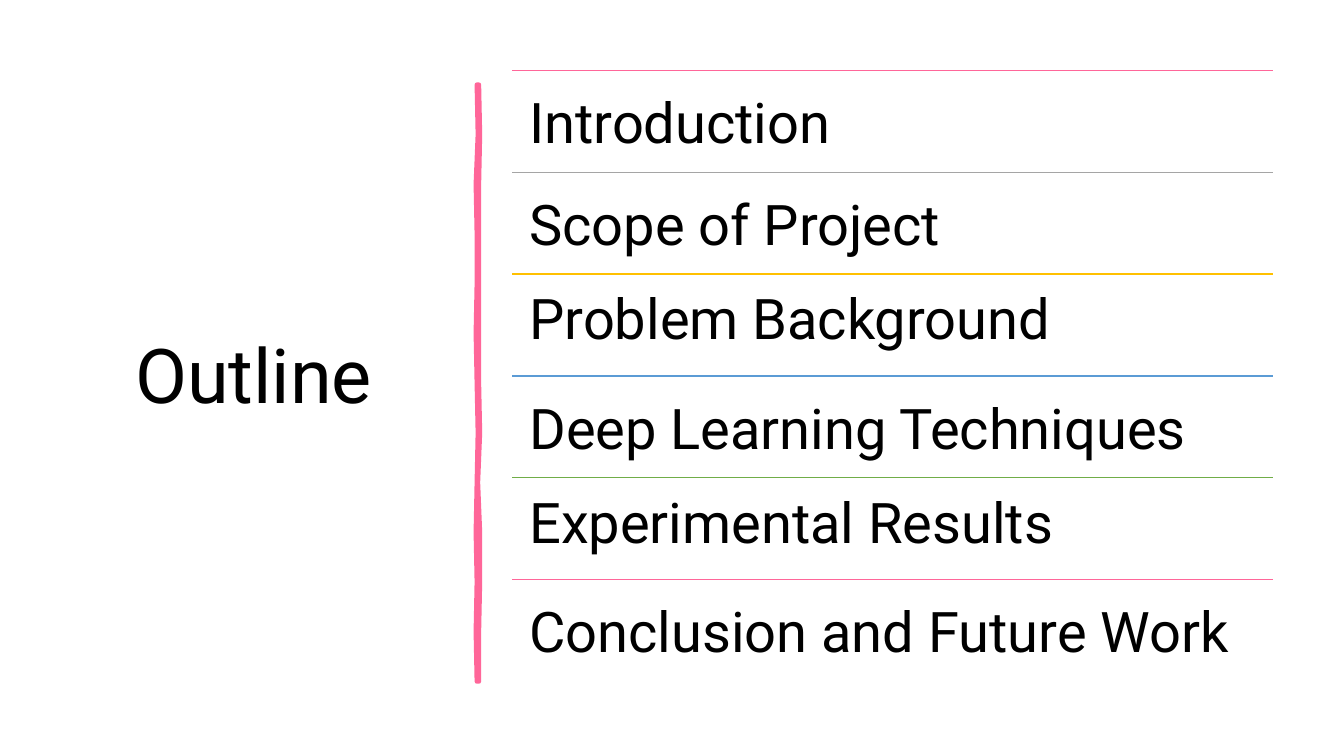
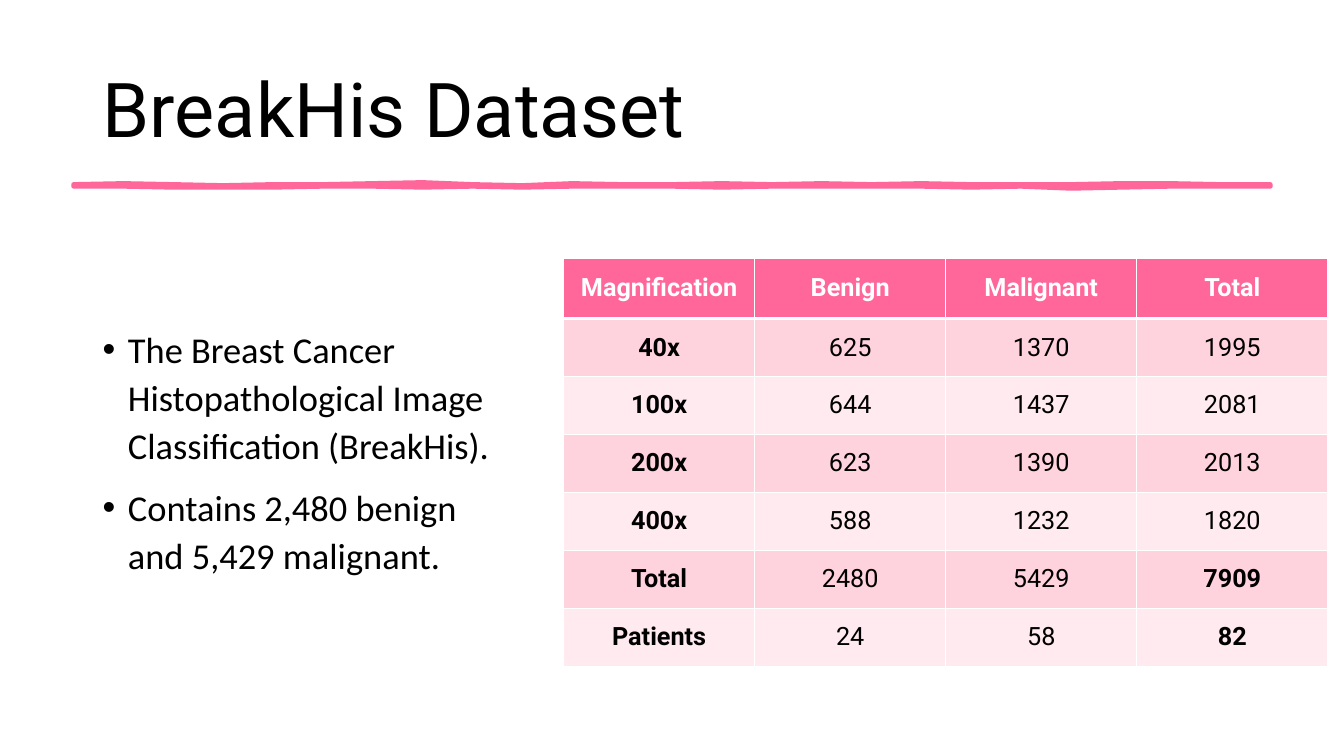
import pptx
import pptx.dml.color
import pptx.enum.shapes
import pptx.enum.text
import pptx.oxml
import pptx.oxml.ns
import pptx.util
from pptx.util import Inches

PINK = "FF6699"
BLACK = "000000"
WHITE = "FFFFFF"
HEADING_FONT = "Roboto"
BODY_FONT = "Calibri"
NAMESPACE = pptx.oxml.ns.nsdecls("a")


def color(hex_value):
    return pptx.dml.color.RGBColor.from_string(hex_value)


def add_run(paragraph, text, size, font=HEADING_FONT, fill=BLACK, bold=False):
    run = paragraph.add_run()
    run.text = text
    run.font.name = font
    run.font.size = pptx.util.Pt(size)
    run.font.bold = bold
    run.font.color.rgb = color(fill)


presentation = pptx.Presentation()
presentation.slide_width = Inches(13.33)
presentation.slide_height = Inches(7.5)

pages = [
    {
        "title": "Outline",
        "box": (1.24, 0.7, 3.19, 6.11),
        "vertical": True,
        "span": (0.84, 6.76),
        "edges": (4.73, 4.75),
        "waves": (
            [0, 0.01, -0.01, 0, 0, -0.01, 0, 0.01, 0, -0.01, 0, -0.01, 0],
            [0, 0.01, 0, 0, 0, 0, 0, 0.01, -0.01, 0.01, 0.01, 0, 0],
        ),
    },
    {
        "title": "BreakHis Dataset",
        "box": (0.92, 0.4, 11.5, 1.45),
        "vertical": False,
        "span": (0.73, 12.6),
        "edges": (1.83, 1.85),
        "waves": (
            [0, -0.01, 0, 0.01, 0, 0, -0.01, -0.02, 0, 0.01, -0.01, 0, 0,
             -0.01, 0, -0.01, 0, -0.01, 0, 0, 0, -0.01, -0.01, 0, 0],
            [0, 0, 0.01, 0.01, 0.01, 0, 0, 0.01, 0, 0.01, 0, 0, 0,
             0.01, 0, 0, 0, 0, 0.01, 0, 0.02, 0.01, 0, 0, 0],
        ),
    },
]

slides = []
for page in pages:
    slide = presentation.slides.add_slide(presentation.slide_layouts[5])
    slides.append(slide)

    title = slide.shapes.title
    title.left, title.top, title.width, title.height = map(Inches, page["box"])
    title.text_frame.auto_size = pptx.enum.text.MSO_AUTO_SIZE.NONE
    title.text_frame.vertical_anchor = pptx.enum.text.MSO_ANCHOR.MIDDLE
    paragraph = title.text_frame.paragraphs[0]
    paragraph.alignment = pptx.enum.text.PP_ALIGN.LEFT
    paragraph.line_spacing = 0.9
    add_run(paragraph, page["title"], 54)

    start, end = page["span"]
    outline = []
    for edge, wave, backward in zip(page["edges"], page["waves"], (False, True)):
        step = (end - start) / (len(wave) - 1)
        points = []
        for index, offset in enumerate(wave):
            along, across = Inches(start + index * step), Inches(edge + offset)
            points.append((across, along) if page["vertical"] else (along, across))
        outline += reversed(points) if backward else points
    builder = slide.shapes.build_freeform(*outline[0])
    builder.add_line_segments(outline[1:], close=True)
    brush = builder.convert_to_shape()
    brush.shadow.inherit = False
    brush.fill.solid()
    brush.fill.fore_color.rgb = color(PINK)
    brush.line.color.rgb = color(PINK)
    brush.line.width = pptx.util.Pt(3.25)

outline_slide, dataset_slide = slides

topics = [
    ("Introduction", PINK, 1.0),
    ("Scope of Project", "A5A5A5", 1.0),
    ("Problem Background", "FFC000", 0.9),
    ("Deep Learning Techniques", "5B9BD5", 1.0),
    ("Experimental Results", "70AD47", 0.9),
    ("Conclusion and Future Work", PINK, 1.0),
]
topic_left, topic_top, topic_width, topic_height = 5.08, 0.7, 7.55, 1.01
for index, (topic, rule_color, line_spacing) in enumerate(topics):
    left, width = Inches(topic_left), Inches(topic_width)
    top = Inches(topic_top + index * topic_height)
    rule = outline_slide.shapes.add_connector(
        pptx.enum.shapes.MSO_CONNECTOR.STRAIGHT, left, top, left + width, top)
    rule.line.color.rgb = color(rule_color)
    rule.line.width = pptx.util.Pt(1)
    rule.element.spPr.append(pptx.oxml.parse_xml(f"<a:effectLst {NAMESPACE}/>"))

    box = outline_slide.shapes.add_textbox(left, top, width, Inches(topic_height))
    frame = box.text_frame
    frame.word_wrap = True
    frame.margin_left = frame.margin_right = Inches(0.17)
    frame.margin_top = frame.margin_bottom = Inches(0.17)
    frame.paragraphs[0].line_spacing = line_spacing
    add_run(frame.paragraphs[0], topic, 40)

facts = [
    "The Breast Cancer Histopathological Image Classification (BreakHis).",
    "Contains 2,480 benign and 5,429\u00a0malignant.".replace("\u00a0", " "),
]
box = dataset_slide.shapes.add_textbox(
    Inches(0.92), Inches(2.16), Inches(4.09), Inches(4.61))
frame = box.text_frame
frame.word_wrap = True
frame.vertical_anchor = pptx.enum.text.MSO_ANCHOR.MIDDLE
for index, fact in enumerate(facts):
    paragraph = frame.add_paragraph() if index else frame.paragraphs[0]
    properties = paragraph._p.get_or_add_pPr()
    properties.set("marL", str(Inches(0.25)))
    properties.set("indent", str(Inches(-0.25)))
    properties.append(pptx.oxml.parse_xml(f'<a:buFont {NAMESPACE} typeface="Arial"/>'))
    properties.append(pptx.oxml.parse_xml(f'<a:buChar {NAMESPACE} char="•"/>'))
    paragraph.line_spacing = 1.1
    paragraph.space_before = pptx.util.Pt(10 if index else 0)
    add_run(paragraph, fact, 26, BODY_FONT)

rows = [
    ("Magnification", "Benign", "Malignant", "Total"),
    ("40x", "625", "1370", "1995"),
    ("100x", "644", "1437", "2081"),
    ("200x", "623", "1390", "2013"),
    ("400x", "588", "1232", "1820"),
    ("Total", "2480", "5429", "7909"),
    ("Patients", "24", "58", "82"),
]
bold_totals = ("7909", "82")
table = dataset_slide.shapes.add_table(
    len(rows), len(rows[0]),
    Inches(5.59), Inches(2.56), Inches(7.58), Inches(4.05)).table
for column in table.columns:
    column.width = Inches(7.58 / len(rows[0]))
for row_index, values in enumerate(rows):
    is_header = row_index == 0
    table.rows[row_index].height = Inches(0.6 if is_header else 0.575)
    band = PINK if is_header else ("FFEAEF", "FFD3DE")[row_index % 2]
    border_widths = {
        "lnL": 1,
        "lnR": 1,
        "lnT": 3 if row_index == 1 else 1,
        "lnB": 3 if is_header else 1,
    }
    for column_index, value in enumerate(values):
        cell = table.cell(row_index, column_index)
        cell.vertical_anchor = pptx.enum.text.MSO_ANCHOR.MIDDLE
        for side, width in border_widths.items():
            cell._tc.get_or_add_tcPr().append(pptx.oxml.parse_xml(
                f'<a:{side} {NAMESPACE} w="{pptx.util.Pt(width)}"><a:solidFill>'
                f'<a:srgbClr val="{WHITE}"/></a:solidFill></a:{side}>'))
        cell.fill.solid()
        cell.fill.fore_color.rgb = color(band)
        paragraph = cell.text_frame.paragraphs[0]
        paragraph.alignment = pptx.enum.text.PP_ALIGN.CENTER
        is_bold = is_header or column_index == 0 or value in bold_totals
        add_run(paragraph, value, 18, fill=WHITE if is_header else BLACK, bold=is_bold)

presentation.save("out.pptx")
